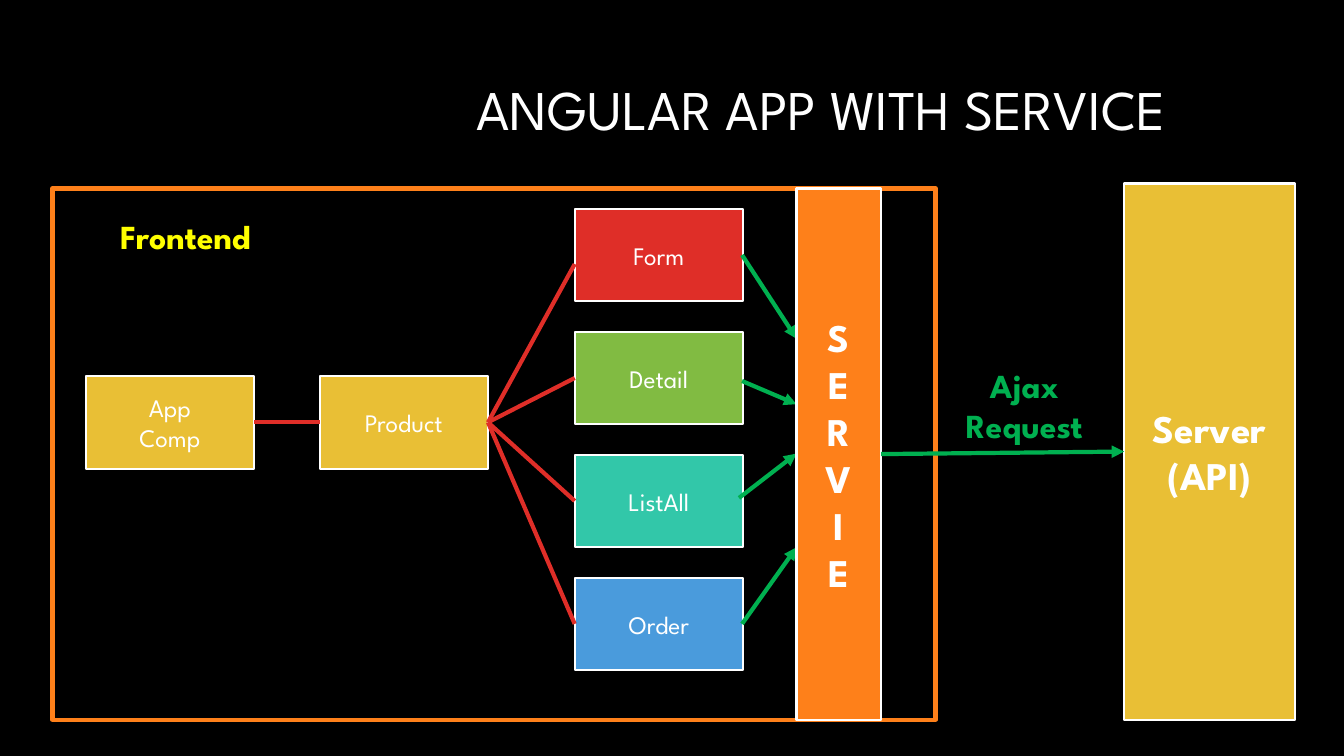
from pptx import Presentation
from pptx.dml.color import RGBColor
from pptx.enum.shapes import MSO_CONNECTOR, MSO_SHAPE
from pptx.enum.text import MSO_ANCHOR, PP_ALIGN
from pptx.oxml.ns import qn
from pptx.util import Inches, Pt
from lxml import etree

RECT = MSO_SHAPE.RECTANGLE
STRAIGHT = MSO_CONNECTOR.STRAIGHT
MIDDLE = MSO_ANCHOR.MIDDLE
CENTER, RIGHT = PP_ALIGN.CENTER, PP_ALIGN.RIGHT

COLORS = {
    "black": "000000", "white": "FFFFFF", "gold": "E9BF35", "red": "DF2E28",
    "lime": "81BB42", "teal": "32C7A9", "blue": "4A9BDC", "orange": "FE801A",
    "yellow": "FFFF00", "green": "00B050",
}
FORMATS = {
    "title": {"size": Pt(40), "bold": False},
    "node": {"size": Pt(18), "bold": False},
    "label": {"size": Pt(24), "bold": True},
    "tall": {"size": Pt(28), "bold": True},
}

# Grid: column lefts, row tops and common sizes, in inches
APP, PRODUCT, VIEWS, SERVICE, SERVER = 0.85, 3.17, 5.7, 7.9, 11.15
NODE_W, NODE_H = 1.67, 0.92
VIEW_TOP, VIEW_STEP = 2.07, 1.22
FRAME_LEFT, FRAME_TOP, FRAME_W, FRAME_H = 0.52, 1.87, 8.76, 5.27
SERVICE_W = 0.84
NODE_TOP = 3.73
NODE_MID = NODE_TOP + NODE_H / 2
SERVICE_MID = FRAME_TOP + FRAME_H / 2

deck = Presentation()
deck.slide_width, deck.slide_height = Inches(13.33), Inches(7.5)
page = deck.slides.add_slide(deck.slide_layouts[6])
page.background.fill.solid()
page.background.fill.fore_color.rgb = RGBColor.from_string(COLORS["black"])


def add_box(area, lines=(), style="node", color="white", fill=None,
            border=None, width=1.5, align=CENTER, spacing=1.0):
    """Add a rectangle, or a plain text box when it has no border."""
    place = [Inches(length) for length in area]
    if border:
        box = page.shapes.add_shape(RECT, *place)
        box.shadow.inherit = False
        box.line.color.rgb = RGBColor.from_string(COLORS[border])
        box.line.width = Pt(width)
        if fill:
            box.fill.solid()
            box.fill.fore_color.rgb = RGBColor.from_string(COLORS[fill])
        else:
            box.fill.background()
    else:
        box = page.shapes.add_textbox(*place)
    frame = box.text_frame
    frame.word_wrap = True
    frame.vertical_anchor = MIDDLE
    for number, line in enumerate(lines):
        para = frame.add_paragraph() if number else frame.paragraphs[0]
        para.alignment = align
        para.line_spacing = spacing
        span = para.add_run()
        span.text = line
        span.font.name = "League Spartan"
        span.font.color.rgb = RGBColor.from_string(COLORS[color])
        for name, value in FORMATS[style].items():
            setattr(span.font, name, value)


def add_link(start, end, color, arrow=False):
    """Join two points with a straight line, with an optional arrowhead."""
    points = [Inches(length) for length in (*start, *end)]
    link = page.shapes.add_connector(STRAIGHT, *points)
    link.line.color.rgb = RGBColor.from_string(COLORS[color])
    link.line.width = Pt(3)
    if arrow:
        head = etree.SubElement(link.line._get_or_add_ln(), qn("a:tailEnd"))
        head.set("type", "triangle")
    etree.SubElement(link._element.spPr, qn("a:effectLst"))


# Title
add_box((2.24, 0.41, 9.42, 1.41), ["ANGULAR APP WITH SERVICE"], "title",
        align=RIGHT, spacing=0.9)

# Components on the left
for left, lines in ((APP, ["App", "Comp"]), (PRODUCT, ["Product"])):
    add_box((left, NODE_TOP, NODE_W, NODE_H), lines, fill="gold", border="white")
add_link((APP + NODE_W, NODE_MID), (PRODUCT, NODE_MID), "red")

# Views: name, fill, end of red line, start and end of green arrow
views = [
    ("Form", "red", 2.62, (7.36, 2.53), 3.36),
    ("Detail", "lime", 3.75, (7.36, 3.78), 4.01),
    ("ListAll", "teal", 4.97, (7.33, 4.94), 4.5),
    ("Order", "blue", 6.19, (7.36, 6.19), 5.43),
]
for row, (name, fill, joint, arrow_start, arrow_end) in enumerate(views):
    top = VIEW_TOP + row * VIEW_STEP
    add_box((VIEWS, top, NODE_W, NODE_H), [name], fill=fill, border="white")
    add_link((PRODUCT + NODE_W, NODE_MID), (VIEWS, joint), "red")
    add_link(arrow_start, (SERVICE, arrow_end), "green", arrow=True)

# Frontend frame and labels
add_box((FRAME_LEFT, FRAME_TOP, FRAME_W, FRAME_H), border="orange", width=3)
add_box((APP, VIEW_TOP, 1.98, 0.55), ["Frontend"], "label", "yellow")
add_box((9.17, 3.62, 1.98, 0.79), ["Ajax", "Request"], "label", "green")

# Service bar, server and the request between them
add_box((SERVICE, FRAME_TOP, SERVICE_W, FRAME_H), "SERVIE", "tall",
        fill="orange", border="white")
add_box((SERVER, 1.82, 1.69, 5.32), ["Server", "(API)"], "tall",
        fill="gold", border="white")
add_link((SERVICE + SERVICE_W, SERVICE_MID), (SERVER, 4.48), "green", arrow=True)

deck.save("out.pptx")
